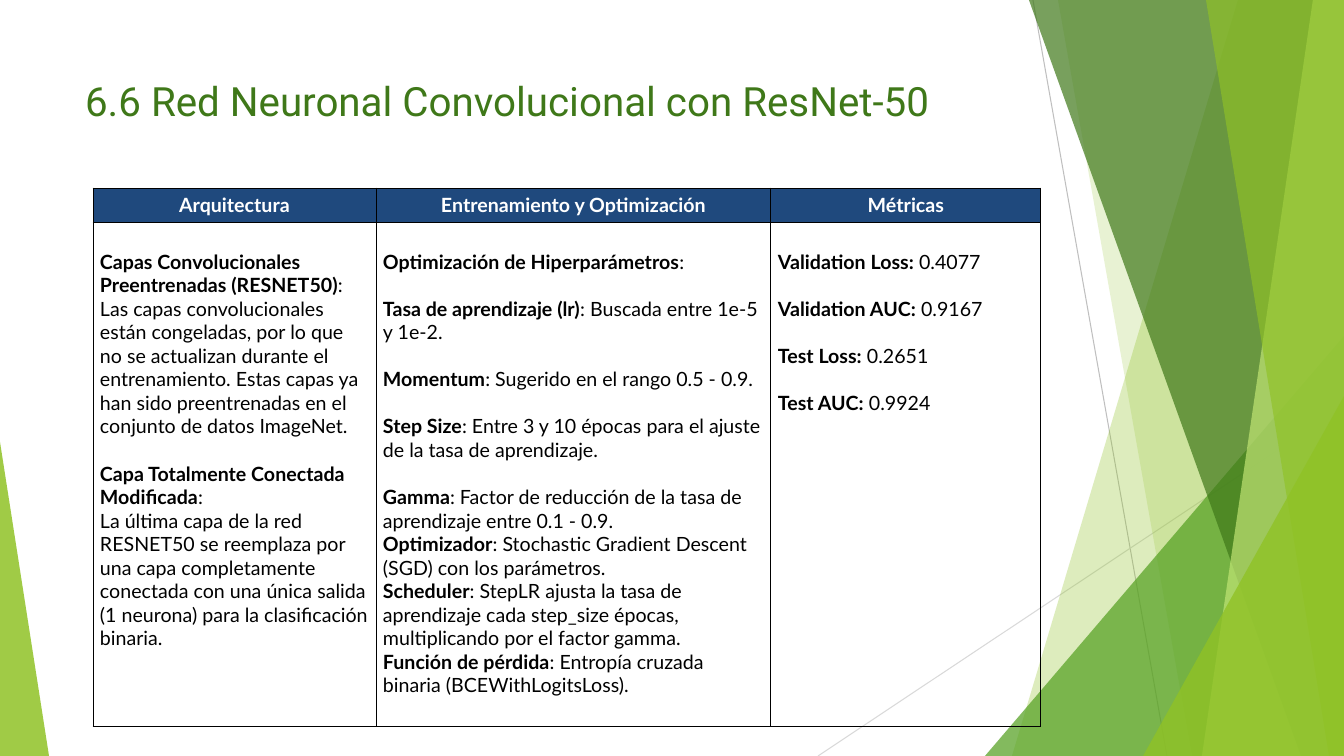
from pptx import Presentation
from pptx import util as u
from pptx.dml.color import RGBColor
from pptx.enum import shapes, text
from pptx.oxml import parse_xml
from pptx.oxml.ns import nsdecls, qn

PX = 12192000 / 1344
LINE_HEIGHT = u.Pt(16.8)
WIDTH, HEIGHT = 1344, 756


def px(length):
    return u.Emu(round(length * PX))


def paint(target, color, opacity=100):
    target.fill.solid()
    target.fill.fore_color.rgb = RGBColor.from_string(color)
    if opacity < 100:
        tint = target.element.spPr.find(qn("a:solidFill"))[0]
        tint.append(parse_xml(f'<a:alpha {nsdecls("a")} val="{opacity * 1000}"/>'))


deck = Presentation()
deck.slide_width, deck.slide_height = px(WIDTH), px(HEIGHT)
page = deck.slides.add_slide(deck.slide_layouts[5])

for x1, y1, x2, y2, color in [
    (1033, 0, 1167, HEIGHT, "BFBFBF"),
    (WIDTH, 406, 818, HEIGHT, "D9D9D9"),
]:
    ray = page.shapes.add_connector(
        shapes.MSO_CONNECTOR.STRAIGHT, px(x1), px(y1), px(x2), px(y2)
    )
    ray.line.color.rgb = RGBColor.from_string(color)
    ray.line.width = u.Pt(0.75)
    ray.element.spPr.append(parse_xml(f'<a:effectLst {nsdecls("a")}/>'))

facets = [
    ("band", 1238, 1012, "90C226", 30),
    ("band", 1058, 1192, "90C226", 20),
    ("triangle", (985, 336, 359, 420), 1, "54A021", 72),
    ("band", 1029, 1301, "3F7819", 70),
    ("band", 1313, 1202, "C0E474", 70),
    ("band", 1206, 1329, "90C226", 65),
    ("triangle", (1143, 396, 201, 360), 1, "90C226", 80),
    ("triangle", (0, 442, 49, 314), 0, "90C226", 85),
]
for kind, first, second, color, opacity in facets:
    if kind == "band":
        outline = page.shapes.build_freeform(first, 0, scale=PX)
        outline.add_line_segments([(WIDTH, 0), (WIDTH, HEIGHT), (second, HEIGHT)])
        facet = outline.convert_to_shape()
    else:
        facet = page.shapes.add_shape(
            shapes.MSO_SHAPE.ISOSCELES_TRIANGLE, *map(px, first)
        )
        facet.adjustments[0] = second
    paint(facet, color, opacity)
    facet.line.fill.background()
    facet.shadow.inherit = False

title = page.shapes.title
title.left, title.top, title.width, title.height = map(px, (75, 68, 918, 65))
title.text = "6.6 Red Neuronal Convolucional con ResNet-50"
title.text_frame.auto_size = text.MSO_AUTO_SIZE.NONE
title.text_frame.vertical_anchor = text.MSO_ANCHOR.MIDDLE
para = title.text_frame.paragraphs[0]
para.alignment = text.PP_ALIGN.LEFT
para.font.name, para.font.size = "Roboto", u.Pt(28.8)
para.font.color.rgb = RGBColor.from_string("3F7819")

columns = [
    ("Arquitectura", 283, [
        (0, "Capas Convolucionales Preentrenadas (RESNET50)", ":"),
        (0, "", "Las capas convolucionales están congeladas, por lo que no se actualizan durante el entrenamiento. Estas capas ya han sido preentrenadas en el conjunto de datos ImageNet."),
        (1, "Capa Totalmente Conectada Modificada", ":"),
        (0, "", "La última capa de la red RESNET50 se reemplaza por una capa completamente conectada con una única salida (1 neurona) para la clasificación binaria."),
    ]),
    ("Entrenamiento y Optimización", 395, [
        (0, "Optimización de Hiperparámetros", ":"),
        (1, "Tasa de aprendizaje (lr)", ": Buscada entre 1e-5 y 1e-2."),
        (1, "Momentum", ": Sugerido en el rango 0.5 - 0.9."),
        (1, "Step Size", ": Entre 3 y 10 épocas para el ajuste de la tasa de aprendizaje."),
        (1, "Gamma", ": Factor de reducción de la tasa de aprendizaje entre 0.1 - 0.9."),
        (0, "Optimizador", ": Stochastic Gradient Descent (SGD) con los parámetros."),
        (0, "Scheduler", ": StepLR ajusta la tasa de aprendizaje cada step_size épocas, multiplicando por el factor gamma."),
        (0, "Función de pérdida", ": Entropía cruzada binaria (BCEWithLogitsLoss)."),
    ]),
    ("Métricas", 270, [
        (0, "Validation Loss:", " 0.4077"),
        (1, "Validation AUC:", " 0.9167"),
        (1, "Test Loss:", " 0.2651"),
        (1, "Test AUC:", " 0.9924"),
    ]),
]
frame = page.shapes.add_table(2, 3, px(93), px(188), px(948), px(538))
table = frame.table
table.horz_banding = False
table.rows[0].height, table.rows[1].height = px(34), px(504)

for index, (heading, width, entries) in enumerate(columns):
    table.columns[index].width = px(width)
    header, body = table.cell(0, index), table.cell(1, index)
    paint(header, "1F497D")
    body.fill.background()
    for cell, top, color in [(header, 5, "FFFFFF"), (body, 28, "000000")]:
        cell.margin_left = cell.margin_right = px(7)
        cell.margin_top, cell.margin_bottom = px(top), px(5)
        lines = entries if cell is body else [(0, heading, "")]
        for number, (gap, strong, plain) in enumerate(lines):
            para = cell.text_frame.paragraphs[0] if number == 0 else cell.text_frame.add_paragraph()
            para.alignment = text.PP_ALIGN.LEFT if cell is body else text.PP_ALIGN.CENTER
            para.space_before = gap * LINE_HEIGHT
            para.font.name, para.font.size = "Lato", u.Pt(14)
            para.font.color.rgb = RGBColor.from_string(color)
            for wording, bold in [(strong, True), (plain, False)]:
                if wording:
                    span = para.add_run()
                    span.text, span.font.bold = wording, bold
        properties = cell._tc.get_or_add_tcPr()
        for position, side in enumerate("LRTB"):
            properties.insert(position, parse_xml(
                f'<a:ln{side} {nsdecls("a")} w="9525"><a:solidFill>'
                f'<a:srgbClr val="000000"/></a:solidFill></a:ln{side}>'
            ))

deck.save("out.pptx")
